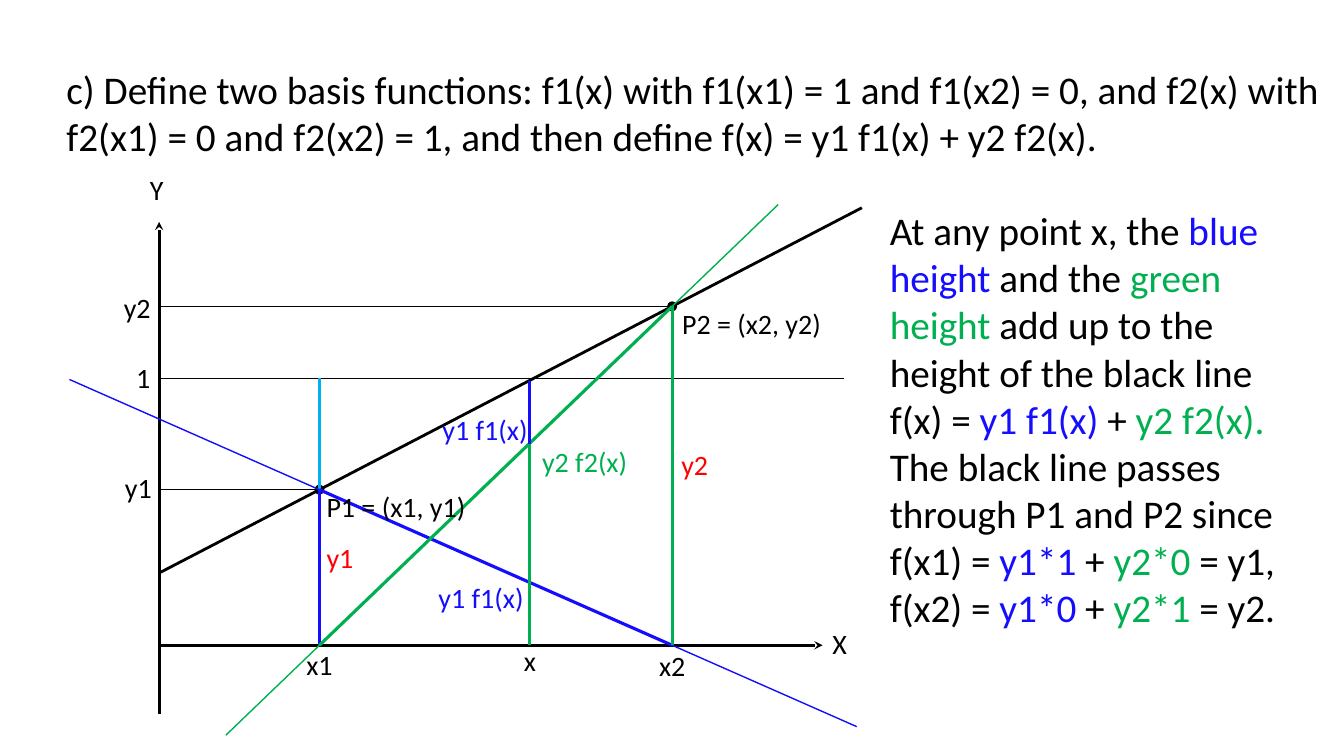
from lxml import etree
from pptx import Presentation
from pptx.dml.color import RGBColor
from pptx.enum import shapes, text
from pptx.oxml import ns
from pptx.util import Cm, Pt

BLACK = RGBColor(0x00, 0x00, 0x00)
BLUE = RGBColor(0x15, 0x0D, 0xFD)
GREEN = RGBColor(0x00, 0xB0, 0x50)
CYAN = RGBColor(0x00, 0xB0, 0xF0)
RED = RGBColor(0xFF, 0x00, 0x00)

TITLE = ("c) Define two basis functions: f1(x) with f1(x1) = 1 and f1(x2) = 0, "
         "and f2(x) with f2(x1) = 0 and f2(x2) = 1, and then define "
         "f(x) = y1 f1(x) + y2 f2(x).")
EXPLANATION = [
    [("At any point x, the ", BLACK), ("blue height ", BLUE), ("and the ", BLACK),
     ("green height", GREEN), (" add up to the height of the black line f(x) = ", BLACK),
     ("y1 f1(x) ", BLUE), ("+ ", BLACK), ("y2 f2(x). ", GREEN),
     ("The black line passes through P1 and P2 since", BLACK)],
    [("f(x1) = ", BLACK), ("y1*1", BLUE), (" + ", BLACK), ("y2*0", GREEN), (" = y1,", BLACK)],
    [("f(x2) = ", BLACK), ("y1*0", BLUE), (" + ", BLACK), ("y2*1", GREEN), (" = y2.", BLACK)],
]
LABELS = [
    ("Y", 3.53, 4.22, BLACK),
    ("X", 20.73, 15.67, BLACK),
    ("y2", 2.87, 7.19, BLACK),
    ("1", 3.18, 8.97, BLACK),
    ("y1", 2.9, 11.73, BLACK),
    ("x1", 7.47, 16.18, BLACK),
    ("x", 12.95, 16.1, BLACK),
    ("x2", 16.36, 16.21, BLACK),
    ("P1 = (x1, y1)", 7.98, 12.22, BLACK),
    ("P2 = (x2, y2)", 16.94, 7.59, BLACK),
    ("y1", 7.98, 13.49, RED),
    ("y2", 16.92, 11.15, RED),
    ("y2 f2(x)", 13.41, 11.07, GREEN),
    ("y1 f1(x)", 10.8, 14.5, BLUE),
    ("y1 f1(x)", 10.9, 10.26, BLUE),
]

AXIS_X, X1, X, X2 = 4.01, 8.05, 13.34, 16.94
BASE, Y1, ONE, Y2 = 16.26, 12.34, 9.53, 7.72
P1, P2 = (X1, Y1), (X2, Y2)
FOOT1, FOOT2 = (X1, BASE), (X2, BASE)
DOT = 0.25


def on_line(a, b, x):
    return x, a[1] + (b[1] - a[1]) * (x - a[0]) / (b[0] - a[0])


LINES = [
    ((AXIS_X, 17.98), (AXIS_X, 5.59), BLACK, 2, True),
    ((AXIS_X, BASE), (20.73, BASE), BLACK, 2, True),
    (on_line(P1, P2, AXIS_X), on_line(P1, P2, 21.72), BLACK, 2, False),
    (P2, (AXIS_X, Y2), BLACK, 0.5, False),
    ((21.26, ONE), (AXIS_X, ONE), BLACK, 0.5, False),
    (P1, (AXIS_X, Y1), BLACK, 0.5, False),
    (FOOT1, (X1, ONE), CYAN, 2.25, False),
    (on_line(P1, FOOT2, 1.75), on_line(P1, FOOT2, 21.59), BLUE, 1, False),
    (P1, FOOT2, BLUE, 2.25, False),
    (FOOT1, P1, BLUE, 2.25, False),
    (FOOT1, P2, GREEN, 2.25, False),
    (FOOT2, P2, GREEN, 2.25, False),
    (on_line(FOOT1, P2, 5.69), on_line(FOOT1, P2, 19.61), GREEN, 1, False),
    (on_line(FOOT1, P2, X), on_line(P1, P2, X), BLUE, 2.25, False),
    ((X, BASE), on_line(FOOT1, P2, X), GREEN, 2.25, False),
]


def style(font, size, color):
    font.name = "Calibri"
    font.size = Pt(size)
    font.color.rgb = color


def place(sp, left, top, width, height):
    sp.left, sp.top, sp.width, sp.height = Cm(left), Cm(top), Cm(width), Cm(height)
    tf = sp.text_frame
    tf.word_wrap = True
    tf.auto_size = text.MSO_AUTO_SIZE.NONE
    tf.vertical_anchor = text.MSO_ANCHOR.TOP
    return tf


def add_line(s, start, end, color, width, arrow):
    c = s.shapes.add_connector(shapes.MSO_CONNECTOR.STRAIGHT,
                               *(Cm(v) for v in start + end))
    c.line.color.rgb = color
    c.line.width = Pt(width)
    if arrow:
        etree.SubElement(c.line._get_or_add_ln(), ns.qn("a:tailEnd"), type="stealth")
    etree.SubElement(c._element.spPr, ns.qn("a:effectLst"))


def add_dot(s, center):
    dot = s.shapes.add_shape(shapes.MSO_SHAPE.OVAL, Cm(center[0] - DOT / 2),
                             Cm(center[1] - DOT / 2), Cm(DOT), Cm(DOT))
    dot.shadow.inherit = False
    dot.fill.solid()
    dot.fill.fore_color.rgb = BLACK
    dot.line.fill.background()


def add_label(s, words, left, top, color):
    width = 1.7 if len(words) <= 2 else 4.1 if len(words) <= 8 else 4.65
    tf = s.shapes.add_textbox(Cm(left), Cm(top), Cm(width), Cm(1.11)).text_frame
    tf.word_wrap = True
    tf.text = words
    style(tf.paragraphs[0].runs[0].font, 20, color)


def fill_title(s):
    tf = place(s.shapes.title, 1.42, 1.52, 32.46, 2.65)
    tf.text = TITLE
    p = tf.paragraphs[0]
    p.alignment = text.PP_ALIGN.LEFT
    style(p.runs[0].font, 28, BLACK)


def fill_explanation(s):
    tf = place(s.placeholders[1], 22.17, 5.08, 11.13, 11.02)
    for i, parts in enumerate(EXPLANATION):
        p = tf.paragraphs[0] if i == 0 else tf.add_paragraph()
        p.space_before = Pt(0)
        pPr = p._p.get_or_add_pPr()
        pPr.set("marL", "0")
        pPr.set("indent", "0")
        etree.SubElement(pPr, ns.qn("a:buNone"))
        for words, color in parts:
            r = p.add_run()
            r.text = words
            style(r.font, 28, color)


def main():
    prs = Presentation()
    prs.slide_width, prs.slide_height = Cm(33.87), Cm(19.05)
    s = prs.slides.add_slide(prs.slide_layouts[1])
    fill_title(s)
    fill_explanation(s)
    for center in (P1, P2):
        add_dot(s, center)
    for line in LINES:
        add_line(s, *line)
    for label in LABELS:
        add_label(s, *label)
    prs.save("out.pptx")


if __name__ == "__main__":
    main()
